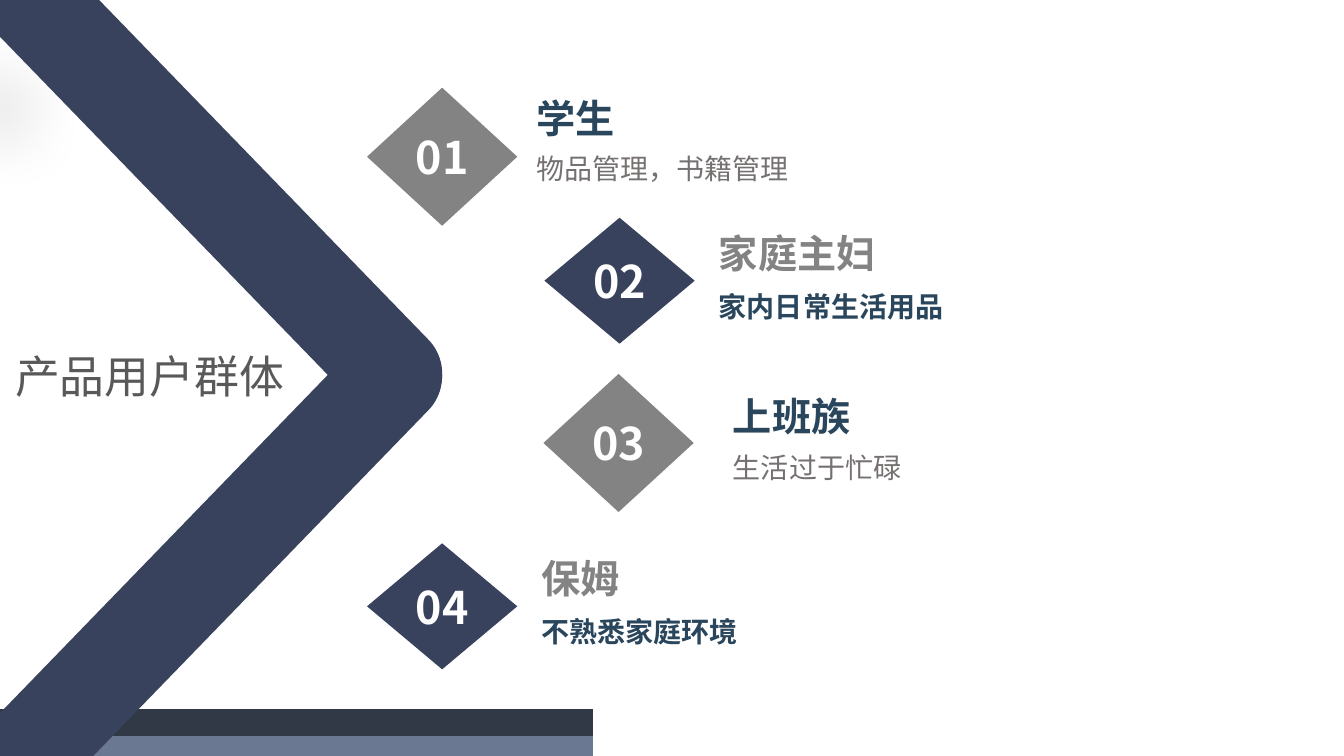
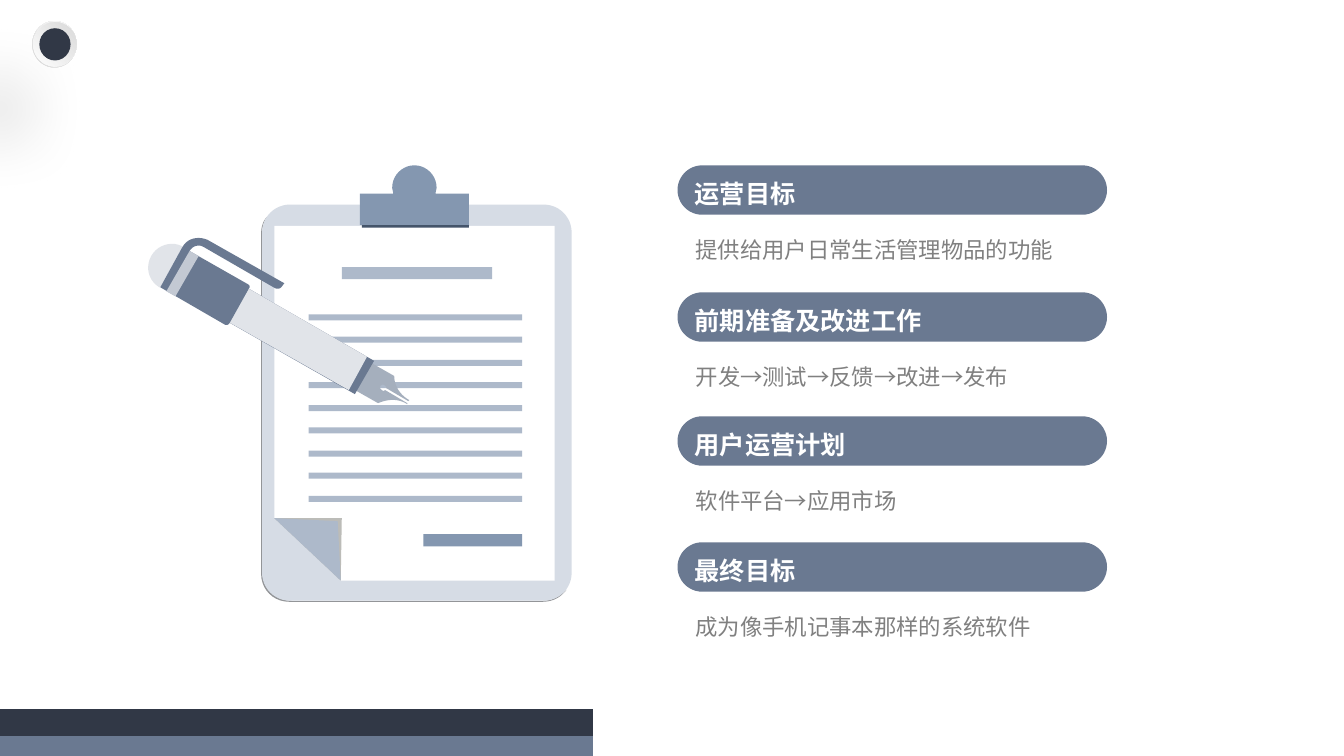
from dataclasses import dataclass
from typing import NamedTuple

from lxml import etree
from pptx import Presentation
from pptx import util as u
from pptx.dml.color import RGBColor
from pptx.enum import shapes, text
from pptx.oxml.ns import qn

PX = 9144  # EMU per px, 100 px to the inch
CURVE_STEPS = 10


# Theme
@dataclass(frozen=True)
class Theme:
    font: str = "Noto Sans CJK SC"
    white: str = "FFFFFF"
    near_white: str = "FEFEFE"
    silver: str = "D9D9D9"
    charcoal: str = "313846"
    slate: str = "6A7991"
    navy: str = "39425D"
    teal: str = "2A465C"
    grey: str = "838383"
    title_grey: str = "595959"
    detail_grey: str = "767171"
    note_grey: str = "808080"
    board: str = "D6DCE5"
    board_edge: str = "939598"
    rule: str = "ADB9CA"
    fold_shade: str = "BCBCB8"
    clip: str = "8497B0"
    clip_shade: str = "44546A"
    pen_body: str = "E1E4E9"
    pen_ring: str = "C3C9D3"
    nib: str = "A5AFBD"
    title_size: int = 32
    heading_size: int = 28
    detail_size: int = 20
    pill_size: int = 18
    note_size: int = 16


THEME = Theme()


class Box(NamedTuple):
    left: int
    top: int
    width: int
    height: int

    def emu(self) -> list[int]:
        return [side * PX for side in self]


class Point(NamedTuple):
    x: float
    y: float


class Curve(NamedTuple):
    first: tuple[float, float]
    second: tuple[float, float]
    end: tuple[float, float]


@dataclass(frozen=True)
class TextStyle:
    size: int
    color: str
    bold: bool = False
    spacing: float = 1.0
    align: text.PP_ALIGN = text.PP_ALIGN.LEFT
    anchor: text.MSO_ANCHOR = text.MSO_ANCHOR.MIDDLE
    insets: tuple[int, int, int, int] = (10, 5, 10, 5)
    wrap: bool = False


LABEL_INSETS = (39, 0, 0, 0)
TITLE = TextStyle(THEME.title_size, THEME.title_grey, align=text.PP_ALIGN.CENTER,
                  anchor=text.MSO_ANCHOR.TOP, insets=(0, 0, 0, 0), wrap=True)
NUMBER = TextStyle(THEME.title_size, THEME.white, True, align=text.PP_ALIGN.CENTER)
PILL = TextStyle(THEME.pill_size, THEME.white, True, 1.2)
NOTE = TextStyle(THEME.note_size, THEME.note_grey, spacing=1.2,
                 anchor=text.MSO_ANCHOR.TOP, insets=(52, 7, 13, 7), wrap=True)


# Drawing helpers
def write(shape, content: str, style: TextStyle) -> None:
    frame = shape.text_frame
    frame.auto_size = text.MSO_AUTO_SIZE.NONE
    frame.word_wrap = style.wrap
    frame.vertical_anchor = style.anchor
    (frame.margin_left, frame.margin_top,
     frame.margin_right, frame.margin_bottom) = [inset * PX for inset in style.insets]
    paragraph = frame.paragraphs[0]
    paragraph.alignment = style.align
    paragraph.line_spacing = style.spacing
    run = paragraph.add_run()
    run.text = content
    run.font.size = u.Pt(style.size)
    run.font.bold = style.bold
    run.font.color.rgb = RGBColor.from_string(style.color)
    run.font.name = THEME.font
    etree.SubElement(run._r.get_or_add_rPr(), qn("a:ea"), typeface=THEME.font)


def paint(shape, color: str):
    shape.shadow.inherit = False
    shape.line.fill.background()
    shape.fill.solid()
    shape.fill.fore_color.rgb = RGBColor.from_string(color)
    return shape


def add_preset(slide, kind: shapes.MSO_SHAPE, box: Box, color: str):
    return paint(slide.shapes.add_shape(kind, *box.emu()), color)


def add_label(slide, box: Box, content: str, style: TextStyle) -> None:
    write(slide.shapes.add_textbox(*box.emu()), content, style)


def blend(shape, stops: list[tuple[float, str]]) -> None:
    shape.fill.gradient()
    for stop, (position, color) in zip(shape.fill.gradient_stops, stops):
        stop.position = position
        stop.color.rgb = RGBColor.from_string(color)


def blend_from_corner(shape, inner: str, outer: str) -> None:
    blend(shape, [(0, inner), (1, outer)])
    gradient = shape._element.spPr.find(qn("a:gradFill"))
    gradient.remove(gradient.find(qn("a:lin")))
    circle = etree.SubElement(gradient, qn("a:path"), {"path": "circle"})
    etree.SubElement(circle, qn("a:fillToRect"), l="100000", b="100000")


def cast_shadow(shape) -> None:
    effects = shape._element.spPr.find(qn("a:effectLst"))
    outer = etree.SubElement(effects, qn("a:outerShdw"), blurRad=str(u.Pt(50)),
                             dist=str(u.Pt(60)), dir=str(130 * 60000),
                             algn="ctr", rotWithShape="0")
    black = etree.SubElement(outer, qn("a:srgbClr"), val="000000")
    etree.SubElement(black, qn("a:alpha"), val="25000")


def flatten(start: Point, curve: Curve) -> list[Point]:
    points = []
    for step in range(1, CURVE_STEPS + 1):
        t = step / CURVE_STEPS
        weights = ((1 - t) ** 3, 3 * t * (1 - t) ** 2, 3 * t * t * (1 - t), t ** 3)
        knots = (start, *curve)
        points.append(Point(*(sum(w * knot[axis] for w, knot in zip(weights, knots))
                              for axis in (0, 1))))
    return points


def add_outline(slide, color: str, *nodes: tuple) -> None:
    points = [Point(*nodes[0])]
    for node in nodes[1:]:
        points += flatten(points[-1], node) if isinstance(node, Curve) else [Point(*node)]
    start, *rest = [(round(x * PX), round(y * PX)) for x, y in points]
    builder = slide.shapes.build_freeform(*start, scale=1.0)
    builder.add_line_segments(rest, close=True)
    paint(builder.convert_to_shape(), color)


# Shared badge and footer band
def add_frame(slide) -> None:
    oval = shapes.MSO_SHAPE.OVAL
    rim = add_preset(slide, oval, Box(32, 21, 44, 46), THEME.white)
    blend_from_corner(rim, THEME.white, THEME.silver)
    cast_shadow(rim)
    bevel = add_preset(slide, oval, Box(33, 22, 43, 44), THEME.silver)
    blend_from_corner(bevel, THEME.silver, THEME.near_white)
    add_preset(slide, oval, Box(39, 28, 31, 32), THEME.charcoal)
    band = add_preset(slide, shapes.MSO_SHAPE.RECTANGLE, Box(0, 703, 588, 47), THEME.slate)
    blend(band, [(0.58, THEME.charcoal), (0.58, THEME.slate)])
    band.fill.gradient_angle = 270


# Slide 1: user groups
@dataclass(frozen=True)
class GroupStyle:
    diamond: str
    diamond_height: int
    heading: TextStyle
    heading_height: int
    detail: TextStyle
    detail_drop: int
    detail_height: int


def group_style(diamond: str, diamond_height: int, heading: str, heading_height: int,
                detail: str, bold: bool, detail_drop: int, detail_height: int) -> GroupStyle:
    return GroupStyle(
        diamond, diamond_height,
        TextStyle(THEME.heading_size, heading, True, anchor=text.MSO_ANCHOR.BOTTOM,
                  insets=LABEL_INSETS), heading_height,
        TextStyle(THEME.detail_size, detail, bold, 1.2, insets=LABEL_INSETS, wrap=True),
        detail_drop, detail_height)


GREY_GROUP = group_style(THEME.grey, 137, THEME.teal, 29, THEME.detail_grey, False, 34, 38)
NAVY_GROUP = group_style(THEME.navy, 125, THEME.grey, 17, THEME.teal, True, 17, 52)


class Group(NamedTuple):
    heading: str
    detail: str
    diamond_at: tuple[int, int]
    label_at: tuple[int, int]
    style: GroupStyle


GROUPS = [
    Group("学生", "物品管理，书籍管理", (364, 87), (493, 111), GREY_GROUP),
    Group("家庭主妇", "家内日常生活用品", (540, 216), (674, 257), NAVY_GROUP),
    Group("上班族", "生活过于忙碌", (539, 371), (688, 407), GREY_GROUP),
    Group("保姆", "不熟悉家庭环境", (364, 539), (498, 580), NAVY_GROUP),
]


def add_group(slide, number: int, group: Group) -> None:
    style = group.style
    diamond = add_preset(slide, shapes.MSO_SHAPE.DIAMOND,
                         Box(*group.diamond_at, 149, style.diamond_height), style.diamond)
    write(diamond, f"{number:02}", NUMBER)
    left, top = group.label_at
    add_label(slide, Box(left, top, 307, style.heading_height), group.heading, style.heading)
    add_label(slide, Box(left, top + style.detail_drop, 307, style.detail_height),
              group.detail, style.detail)


def build_users(deck) -> None:
    slide = deck.slides.add_slide(deck.slide_layouts.get_by_name("Title Only"))
    add_frame(slide)
    for top, angle in ((97, 45.9), (551, 314.1)):
        arm = add_preset(slide, shapes.MSO_SHAPE.ROUNDED_RECTANGLE,
                         Box(-190, top, 724, 96), THEME.navy)
        arm.adjustments[0] = 0.5
        arm.rotation = angle
    title = slide.shapes.title
    title.left, title.top, title.width, title.height = Box(0, 346, 297, 48).emu()
    write(title, "产品用户群体", TITLE)
    for number, group in enumerate(GROUPS, 1):
        add_group(slide, number, group)


# Slide 2: clipboard, pen and operating goals
class Goal(NamedTuple):
    heading: str
    note: str
    top: int
    note_width: int


GOALS = [
    Goal("运营目标", "提供给用户日常生活管理物品的功能", 164, 426),
    Goal("前期准备及改进工作", "开发→测试→反馈→改进→发布", 290, 381),
    Goal("用户运营计划", "软件平台→应用市场", 413, 381),
    Goal("最终目标", "成为像手机记事本那样的系统软件", 538, 426),
]


def add_clipboard(slide) -> None:
    bar = shapes.MSO_SHAPE.RECTANGLE
    add_outline(slide, THEME.board_edge, (265, 215), Curve((261, 219), (259, 225), (259, 232)),
                (259, 569), Curve((259, 585), (271, 597), (287, 597)), (538, 597),
                Curve((548, 597), (556, 593), (562, 585)),
                Curve((556, 591), (548, 596), (539, 596)), (289, 596),
                Curve((273, 596), (260, 583), (260, 567)), (260, 230),
                Curve((260, 225), (262, 219), (265, 215)))
    board = add_preset(slide, shapes.MSO_SHAPE.ROUNDED_RECTANGLE,
                       Box(260, 203, 307, 393), THEME.board)
    board.adjustments[0] = 0.09
    add_outline(slide, THEME.white, (338, 576), (550, 576), (550, 224), (272, 224), (272, 514))
    add_preset(slide, bar, Box(420, 530, 98, 12), THEME.clip)
    for row in range(9):
        add_preset(slide, bar, Box(306, 312 + row * 45 // 2, 212, 6), THEME.rule)
    add_preset(slide, bar, Box(339, 265, 149, 12), THEME.rule)
    add_outline(slide, THEME.fold_shade, (339, 514), (272, 514), (338, 576))
    add_outline(slide, THEME.rule, (335, 517), (272, 514), (338, 576))
    add_preset(slide, bar, Box(359, 193, 106, 33), THEME.clip_shade)
    add_outline(slide, THEME.clip, (432, 192), Curve((432, 190), (433, 188), (433, 186)),
                Curve((433, 174), (423, 164), (411, 164)),
                Curve((399, 164), (389, 174), (389, 186)),
                Curve((389, 188), (390, 190), (390, 192)),
                (357, 192), (357, 223), (465, 223), (465, 192))


def add_pen(slide) -> None:
    add_outline(slide, THEME.nib, (353, 370), (345, 383), (375, 400),
                Curve((384, 396), (395, 395), (404, 401)), (404, 400), (382, 387),
                Curve((381, 388), (379, 388), (379, 387)),
                Curve((377, 386), (377, 385), (377, 383)),
                Curve((378, 382), (380, 381), (381, 382)),
                Curve((383, 383), (383, 384), (383, 385)), (405, 398), (406, 397),
                Curve((397, 392), (391, 383), (391, 373)), (361, 356))
    add_outline(slide, THEME.slate, (371, 358), (352, 391), (194, 301), (213, 267))
    add_outline(slide, THEME.pen_body, (364, 354), (346, 387), (187, 297), (206, 263))
    add_outline(slide, THEME.pen_body, (158, 285), (159, 285), (181, 245), (180, 244),
                Curve((170, 239), (156, 243), (150, 254)),
                Curve((144, 265), (147, 278), (158, 285)))
    add_outline(slide, THEME.slate, (181, 245), (159, 285), (223, 322),
                Curve((225, 323), (227, 322), (228, 320)), (247, 286),
                Curve((248, 285), (248, 283), (246, 282)), (188, 249),
                Curve((191, 244), (197, 242), (202, 245)), (273, 286),
                Curve((276, 287), (278, 286), (279, 285)), (282, 281), (206, 238),
                Curve((197, 234), (186, 236), (181, 245)))
    add_outline(slide, THEME.pen_ring, (174, 294), (197, 254), (188, 249), (165, 289))


def build_goals(deck) -> None:
    slide = deck.slides.add_slide(deck.slide_layouts.get_by_name("Blank"))
    add_frame(slide)
    add_clipboard(slide)
    add_pen(slide)
    for goal in GOALS:
        pill = add_preset(slide, shapes.MSO_SHAPE.ROUNDED_RECTANGLE,
                          Box(672, goal.top, 426, 49), THEME.slate)
        pill.adjustments[0] = 0.5
        write(pill, goal.heading, PILL)
        add_label(slide, Box(638, goal.top + 58, goal.note_width, 61), goal.note, NOTE)


def main() -> None:
    deck = Presentation()
    deck.slide_width, deck.slide_height = 1333 * PX, 750 * PX
    build_users(deck)
    build_goals(deck)
    deck.save("out.pptx")


if __name__ == "__main__":
    main()
